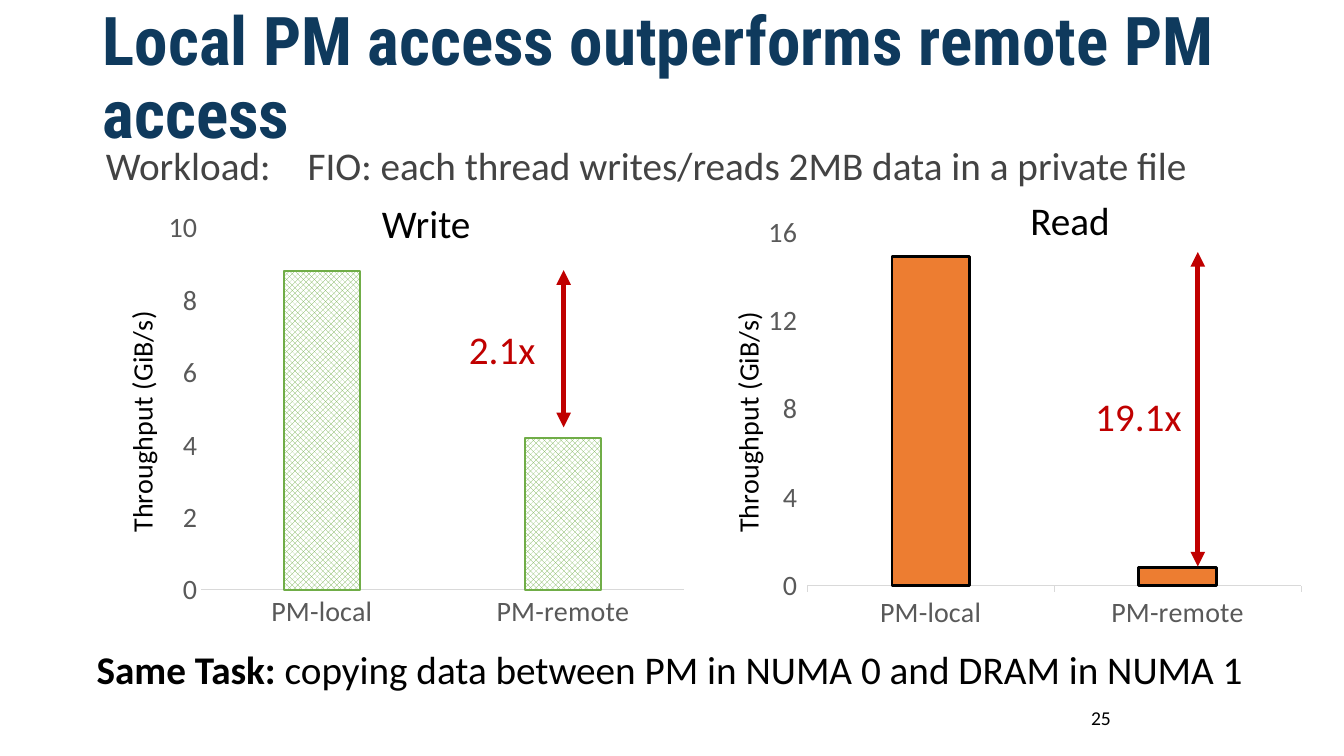
import dataclasses

import lxml.etree
import pptx
import pptx.chart.data
import pptx.dml.color
import pptx.enum.chart
import pptx.enum.dml
import pptx.enum.shapes
import pptx.enum.text
import pptx.oxml.ns
import pptx.util

Inches = pptx.util.Inches
Pt = pptx.util.Pt
qn = pptx.oxml.ns.qn


@dataclasses.dataclass(frozen=True)
class Theme:
    """Fonts, colours and type sizes of the slide."""
    heading_font: str = "Roboto Condensed"
    body_font: str = "Calibri"
    navy: str = "0F3A5D"
    gray: str = "434343"
    axis_gray: str = "595959"
    rule_gray: str = "D9D9D9"
    black: str = "000000"
    white: str = "FFFFFF"
    red: str = "C00000"
    green: str = "70AD47"
    orange: str = "ED7D31"
    title_size: int = 48
    text_size: int = 28
    axis_size: int = 20
    number_size: int = 14


@dataclasses.dataclass(frozen=True)
class Panel:
    """One throughput chart; offsets are relative to the panel's corner."""
    heading: str
    heading_at: tuple
    values: tuple
    maximum: int
    step: int
    plot: tuple
    tick: object
    patterned: bool
    line_color: str
    line_width: float
    ratio: str
    ratio_at: tuple
    arrow: tuple


THEME = Theme()
TICK = pptx.enum.chart.XL_TICK_MARK
PANELS = (
    Panel("Write", (2.77, -0.07), (8.8, 4.2), 10, 2, (0.18, 0.06, 0.8, 0.83), TICK.NONE,
          True, THEME.green, 1.5, "2.1x", (3.47, 1.18), (4.67, 0.68, 2.24)),
    Panel("Read", (3.19, -0.1), (14.9, 0.8), 16, 4, (0.18, 0.07, 0.82, 0.81), TICK.OUTSIDE,
          False, THEME.black, 2, "19.1x", (3.77, 1.84), (4.95, 0.5, 3.62)),
)


def rgb(color):
    """Turn a hex string into a colour."""
    return pptx.dml.color.RGBColor.from_string(color)


def style_font(font, size, color, name=THEME.body_font, bold=False):
    """Apply typeface, size, colour and weight."""
    font.name, font.size, font.bold = name, Pt(size), bold
    font.color.rgb = rgb(color)


def place(shape, box):
    """Move a shape to a box given in inches."""
    shape.left, shape.top, shape.width, shape.height = map(Inches, box)


def set_insets(text_frame, horizontal, vertical):
    """Set the text margins in inches."""
    text_frame.margin_left = text_frame.margin_right = Inches(horizontal)
    text_frame.margin_top = text_frame.margin_bottom = Inches(vertical)


def add_text(slide, box, text, color=THEME.black, size=THEME.text_size, centered=False):
    """Add a wrapped one-paragraph text box and return its paragraph."""
    text_frame = slide.shapes.add_textbox(*map(Inches, box)).text_frame
    text_frame.word_wrap = True
    text_frame.text = text
    paragraph = text_frame.paragraphs[0]
    if centered:
        paragraph.alignment = pptx.enum.text.PP_ALIGN.CENTER
    style_font(paragraph.runs[0].font, size, color)
    return paragraph


def fill_placeholder(shape, box, text, insets, anchor):
    """Place a template placeholder, set its text and return the paragraph."""
    place(shape, box)
    text_frame = shape.text_frame
    text_frame.text = text
    text_frame.word_wrap = True
    text_frame.auto_size = pptx.enum.text.MSO_AUTO_SIZE.NONE
    text_frame.vertical_anchor = anchor
    set_insets(text_frame, *insets)
    paragraph = text_frame.paragraphs[0]
    paragraph.alignment = pptx.enum.text.PP_ALIGN.LEFT
    paragraph.line_spacing = 0.9
    paragraph.space_before = Pt(0)
    return paragraph


def add_header(slide, box):
    """Fill the title and the workload line below it."""
    left, top, width, height = box
    anchors = pptx.enum.text.MSO_ANCHOR
    title = fill_placeholder(slide.shapes.title, (left, top, width, 0.87),
                             "Local PM access outperforms remote PM access",
                             (0.1, 0.05), anchors.MIDDLE)
    style_font(title.runs[0].font, THEME.title_size, THEME.navy, THEME.heading_font, True)
    workload = fill_placeholder(slide.placeholders[1], (left, top + 0.96, width + 0.7, height - 0.96),
                                "Workload:\tFIO: each thread writes/reads 2MB data in a private file",
                                (0.13, 0.13), anchors.TOP)
    style_font(workload.runs[0].font, THEME.text_size, THEME.gray)
    properties = workload._p.get_or_add_pPr()
    properties.set("marL", "0")
    properties.set("indent", "0")
    lxml.etree.SubElement(properties, qn("a:buNone"))
    tabs = lxml.etree.SubElement(properties, qn("a:tabLst"))
    lxml.etree.SubElement(tabs, qn("a:tab"), pos=str(Inches(1.9)), algn="l")


def set_layout(parent, index, **fractions):
    """Give a chart part a manual layout in fractions of the chart."""
    for old in parent.findall(qn("c:layout")):
        parent.remove(old)
    layout = lxml.etree.Element(qn("c:layout"))
    manual = lxml.etree.SubElement(layout, qn("c:manualLayout"))
    if "w" in fractions:
        lxml.etree.SubElement(manual, qn("c:layoutTarget"), val="inner")
    for side in "xy":
        lxml.etree.SubElement(manual, qn(f"c:{side}Mode"), val="edge")
    for key, value in fractions.items():
        lxml.etree.SubElement(manual, qn(f"c:{key}"), val=str(value))
    parent.insert(index, layout)


def style_axes(chart, panel):
    """Format both axes and the value axis title."""
    category_axis, value_axis = chart.category_axis, chart.value_axis
    for axis in (category_axis, value_axis):
        axis.major_tick_mark = panel.tick
        axis.minor_tick_mark = TICK.NONE
        axis.has_major_gridlines = False
        style_font(axis.tick_labels.font, THEME.axis_size, THEME.axis_gray)
    category_axis.format.line.color.rgb = rgb(THEME.rule_gray)
    category_axis.format.line.width = Pt(0.75)
    value_axis.format.line.fill.background()
    value_axis.minimum_scale, value_axis.maximum_scale = 0, panel.maximum
    value_axis.major_unit = panel.step
    title = value_axis.axis_title
    title.text_frame.text = "Throughput (GiB/s)"
    style_font(title.text_frame.paragraphs[0].runs[0].font, THEME.axis_size, THEME.black)
    body = title._element.find(".//" + qn("a:bodyPr"))
    body.set("rot", "-5400000")
    body.set("vert", "horz")
    set_layout(title._element, 1, x=0.04, y=0.24)


def add_chart(slide, box, panel):
    """Add the column chart of one panel."""
    data = pptx.chart.data.CategoryChartData()
    data.categories = ("PM-local", "PM-remote")
    data.add_series("Series 1", panel.values)
    chart = slide.shapes.add_chart(pptx.enum.chart.XL_CHART_TYPE.COLUMN_CLUSTERED,
                                   *map(Inches, box), data).chart
    chart.has_legend = chart.has_title = False
    style_font(chart.font, THEME.axis_size, THEME.black)
    plot = chart.plots[0]
    plot.gap_width, plot.overlap, plot.vary_by_categories = 219, -27, False
    columns = plot.series[0].format
    if panel.patterned:
        columns.fill.patterned()
        columns.fill.pattern = pptx.enum.dml.MSO_PATTERN.from_xml("openDmnd")
        columns.fill.fore_color.rgb = rgb(THEME.green)
        columns.fill.back_color.rgb = rgb(THEME.white)
    else:
        columns.fill.solid()
        columns.fill.fore_color.rgb = rgb(THEME.orange)
    columns.line.color.rgb = rgb(panel.line_color)
    columns.line.width = Pt(panel.line_width)
    style_axes(chart, panel)
    plot_area = chart._chartSpace.find(".//" + qn("c:plotArea"))
    set_layout(plot_area, 0, **dict(zip("xywh", panel.plot)))


def add_arrow(slide, x, top, bottom):
    """Draw a vertical double-headed arrow."""
    arrow = slide.shapes.add_connector(pptx.enum.shapes.MSO_CONNECTOR.STRAIGHT,
                                       *map(Inches, (x, top, x, bottom)))
    arrow.line.color.rgb = rgb(THEME.red)
    arrow.line.width = Pt(3.5)
    line = arrow.line._get_or_add_ln()
    for end in ("a:headEnd", "a:tailEnd"):
        lxml.etree.SubElement(line, qn(end), type="triangle")
    lxml.etree.SubElement(arrow._element.spPr, qn("a:effectLst"))


def add_panel(slide, box, panel):
    """Add a chart with its heading, ratio label and arrow."""
    left, top = box[:2]
    add_chart(slide, box, panel)
    x, start, end = panel.arrow
    add_arrow(slide, left + x, top + start, top + end)
    for text, (x, y), color, centered in (
            (panel.ratio, panel.ratio_at, THEME.red, True),
            (panel.heading, panel.heading_at, THEME.black, False)):
        add_text(slide, (left + x, top + y, 1.18, 0.57), text, color, centered=centered)


def add_footer(slide, box):
    """Add the task statement and the slide number."""
    left, top, width, height = box
    task = add_text(slide, (left, top, width, 0.57), "Same Task: ")
    task.runs[0].font.bold = True
    detail = task.add_run()
    detail.text = "copying data between PM in NUMA 0 and DRAM in NUMA 1"
    style_font(detail.font, THEME.text_size, THEME.black)
    add_text(slide, (left + 8.56, top + height - 0.4, 3, 0.4), "25",
             size=THEME.number_size, centered=True)


def main():
    """Build and save the slide."""
    presentation = pptx.Presentation()
    presentation.slide_width, presentation.slide_height = Inches(13.33), Inches(7.5)
    slide = presentation.slides.add_slide(presentation.slide_layouts[1])
    add_header(slide, (0.92, 0.36, 11.63, 1.71))
    for index, panel in enumerate(PANELS):
        add_panel(slide, (0.92 + 6.01 * index, 2, 5.98, 4.33), panel)
    add_footer(slide, (0.86, 6.35, 11.74, 1))
    presentation.save("out.pptx")


if __name__ == "__main__":
    main()
